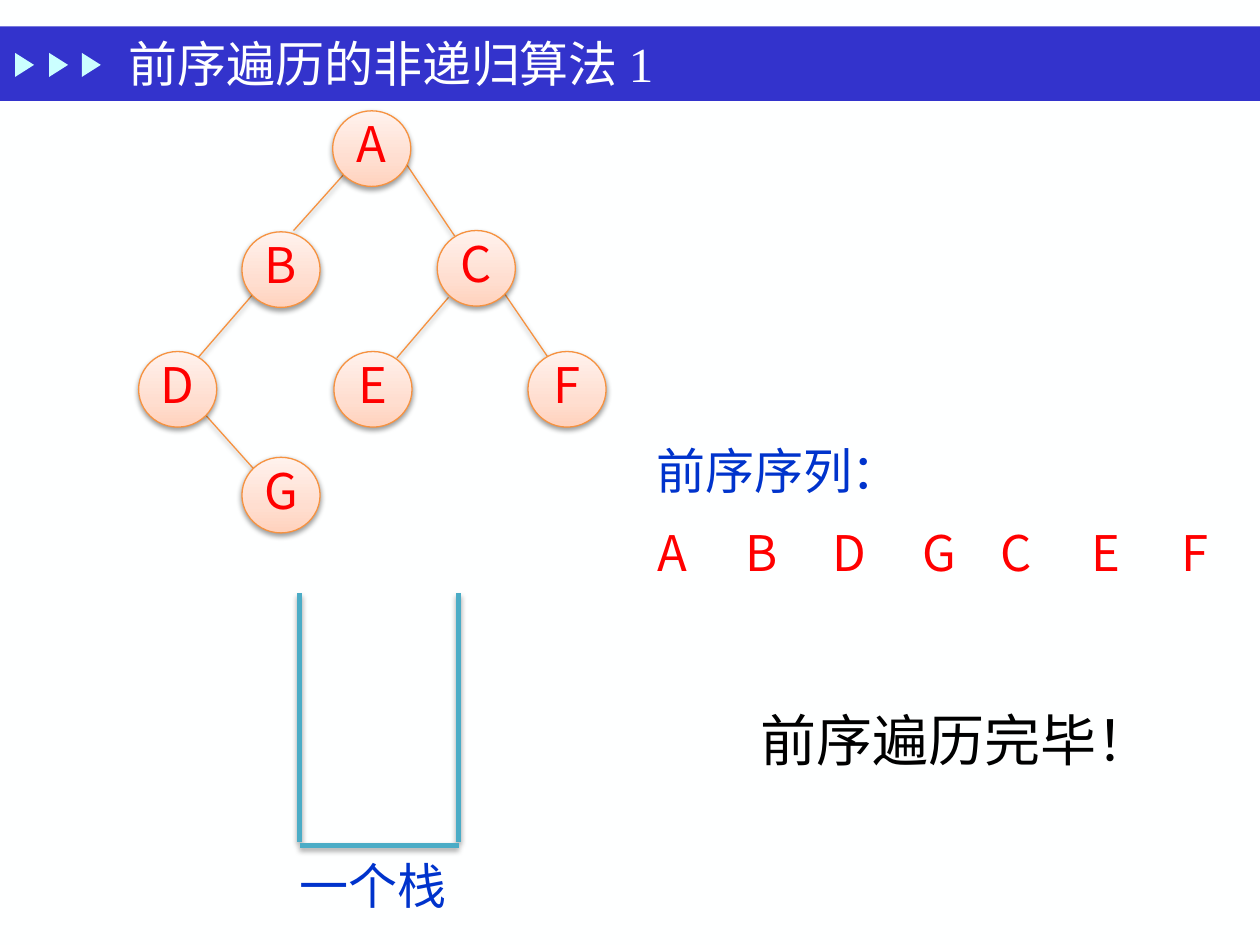
from lxml.etree import SubElement
from pptx import Presentation
from pptx.dml.color import RGBColor
from pptx.enum.shapes import MSO_CONNECTOR as Connector, MSO_SHAPE as Shape
from pptx.enum.text import MSO_ANCHOR as Anchor, MSO_AUTO_SIZE as AutoSize, PP_ALIGN as Align
from pptx.oxml import parse_xml
from pptx.oxml.ns import nsdecls, qn
from pptx.util import Inches, Pt

COLORS = {
    "page": "FEFFFF", "bar": "3333CC", "arrow": "CBFFFF", "stack": "4BACC6",
    "edge": "F69240", "label": "0033CC", "letter": "FF0000", "done": "000000",
}
SANS, SANS_JP, SERIF = "Noto Sans CJK SC", "Noto Sans CJK JP", "Times New Roman"
NODE_STOPS = [(0, "FFD2BD"), (35, "FFDED0"), (100, "FFF2ED")]
NODE_SHADOW = {"alpha": 38, "distance": 1.6}
STACK_SHADOW = {"alpha": 35, "distance": 1.8}

TITLE = "前序遍历的非递归算法 1"
TITLE_ARROWS = [0.1, 0.37, 0.63]
NODE_SIZE = (0.62, 0.6)
NODES = {
    "A": (2.64, 0.88), "B": (1.92, 1.84), "C": (3.47, 1.83), "D": (1.1, 2.79),
    "E": (2.65, 2.79), "G": (1.92, 3.63), "F": (4.19, 2.79),
}
EDGES = [
    (1.61, 3.27, 2.03, 3.74), (2.75, 1.36, 2.33, 1.83), (3.21, 1.28, 3.64, 1.92),
    (2.03, 2.31, 1.51, 2.91), (3.56, 2.36, 3.15, 2.84), (3.99, 2.31, 4.4, 2.91),
]
STACK_SIDES = [(2.38, 4.71, 2.38, 6.68), (3.64, 4.71, 3.64, 6.68), (2.38, 6.71, 3.64, 6.71)]
VISIT_ORDER = [("A", 5.1), ("B", 5.81), ("D", 6.51), ("G", 7.22), ("C", 7.83), ("E", 8.54), ("F", 9.25)]
LABELS = [
    ("一个栈", (2.28, 6.83, 1.46, 0.48), {}),
    ("前序序列：", (5.11, 3.54, 1.89, 0.48), {}),
    ("前序遍历完毕！", (5.94, 5.64, 2.95, 0.55),
     {"color": "done", "size": 32, "font": SANS_JP, "anchor": Anchor.MIDDLE}),
]


def rgb(name):
    return RGBColor.from_string(COLORS[name])


def inches(values):
    return [Inches(value) for value in values]


def write(shape, text, color, size=28, font=SANS, east_asian=None, align=Align.LEFT, spacing=0.8, **frame_format):
    """Put one formatted line of text in a shape; frame_format goes to its text frame."""
    frame = shape.text_frame
    for name, value in frame_format.items():
        setattr(frame, name, value)
    para = frame.paragraphs[0]
    para.alignment, para.line_spacing = align, spacing
    span = para.add_run()
    span.text = text
    for name, value in {"size": Pt(size), "name": font, "bold": False}.items():
        setattr(span.font, name, value)
    span.font.color.rgb = rgb(color)
    SubElement(span.font._element, qn("a:ea")).set("typeface", east_asian or font)


def add_shadow(shape, alpha, distance):
    """Append a soft shadow below; the line must already be set."""
    shape._element.spPr.append(parse_xml(
        f'<a:effectLst {nsdecls("a")}><a:outerShdw blurRad="{Pt(3.1)}" dist="{Pt(distance)}" '
        f'dir="5400000" rotWithShape="0"><a:srgbClr val="000000"><a:alpha val="{alpha * 1000}"/>'
        '</a:srgbClr></a:outerShdw></a:effectLst>'))


def add_line(slide, ends, color, width, shadow):
    line = slide.shapes.add_connector(Connector.STRAIGHT, *inches(ends))
    line.line.color.rgb = rgb(color)
    line.line.width = Pt(width)
    add_shadow(line, **shadow)


def add_flat_shape(slide, kind, place, color):
    shape = slide.shapes.add_shape(kind, *inches(place))
    shape.shadow.inherit = False
    shape.fill.solid()
    shape.fill.fore_color.rgb = rgb(color)
    shape.line.fill.background()
    return shape


def add_node(slide, letter, corner):
    node = slide.shapes.add_shape(Shape.OVAL, *inches(corner + NODE_SIZE))
    stops = "".join(f'<a:gs pos="{position * 1000}"><a:srgbClr val="{color}"/></a:gs>'
                    for position, color in NODE_STOPS)
    node._element.spPr.find(qn("a:prstGeom")).addnext(parse_xml(
        f'<a:gradFill {nsdecls("a")} rotWithShape="1"><a:gsLst>{stops}</a:gsLst>'
        '<a:lin ang="16200000" scaled="1"/></a:gradFill>'))
    node.line.color.rgb = rgb("edge")
    node.line.width = Pt(0.75)
    add_shadow(node, **NODE_SHADOW)
    write(node, letter, "letter", align=Align.CENTER, word_wrap=False, vertical_anchor=Anchor.MIDDLE)


def add_label(slide, text, place, color="label", anchor=Anchor.TOP, **text_format):
    box = slide.shapes.add_textbox(*inches(place))
    write(box, text, color, word_wrap=True, auto_size=AutoSize.SHAPE_TO_FIT_TEXT,
          vertical_anchor=anchor, **text_format)


def add_title(slide):
    add_flat_shape(slide, Shape.RECTANGLE, (0, 0.21, 10, 0.59), "bar")
    for left in TITLE_ARROWS:
        arrow = add_flat_shape(slide, Shape.ISOSCELES_TRIANGLE, (left, 0.44, 0.19, 0.15), "arrow")
        arrow.rotation = 90
    title = slide.shapes.title
    title.left, title.top, title.width, title.height = inches((0.92, 0.21, 7, 0.58))
    write(title, TITLE, "page", font=SERIF, east_asian=SANS, spacing=1,
          word_wrap=True, auto_size=AutoSize.NONE, vertical_anchor=Anchor.MIDDLE)
    slide.shapes._spTree.append(title._element)  # in front of the bar


def main():
    deck = Presentation()
    deck.slide_width, deck.slide_height = inches((10, 7.5))
    page = deck.slides.add_slide(deck.slide_layouts[5])
    page.background.fill.solid()
    page.background.fill.fore_color.rgb = rgb("page")

    add_title(page)
    for ends in STACK_SIDES:
        add_line(page, ends, "stack", 3, STACK_SHADOW)
    for ends in EDGES:
        add_line(page, ends, "edge", 0.75, NODE_SHADOW)
    for letter, corner in NODES.items():
        add_node(page, letter, corner)
    for text, place, text_format in LABELS:
        add_label(page, text, place, **text_format)
    no_margins = dict.fromkeys(("margin_left", "margin_top", "margin_right", "margin_bottom"), 0)
    for letter, left in VISIT_ORDER:
        add_label(page, letter, (left, 4.24, 0.47, 0.38), "letter", align=Align.CENTER, **no_margins)
    deck.save("out.pptx")


if __name__ == "__main__":
    main()
